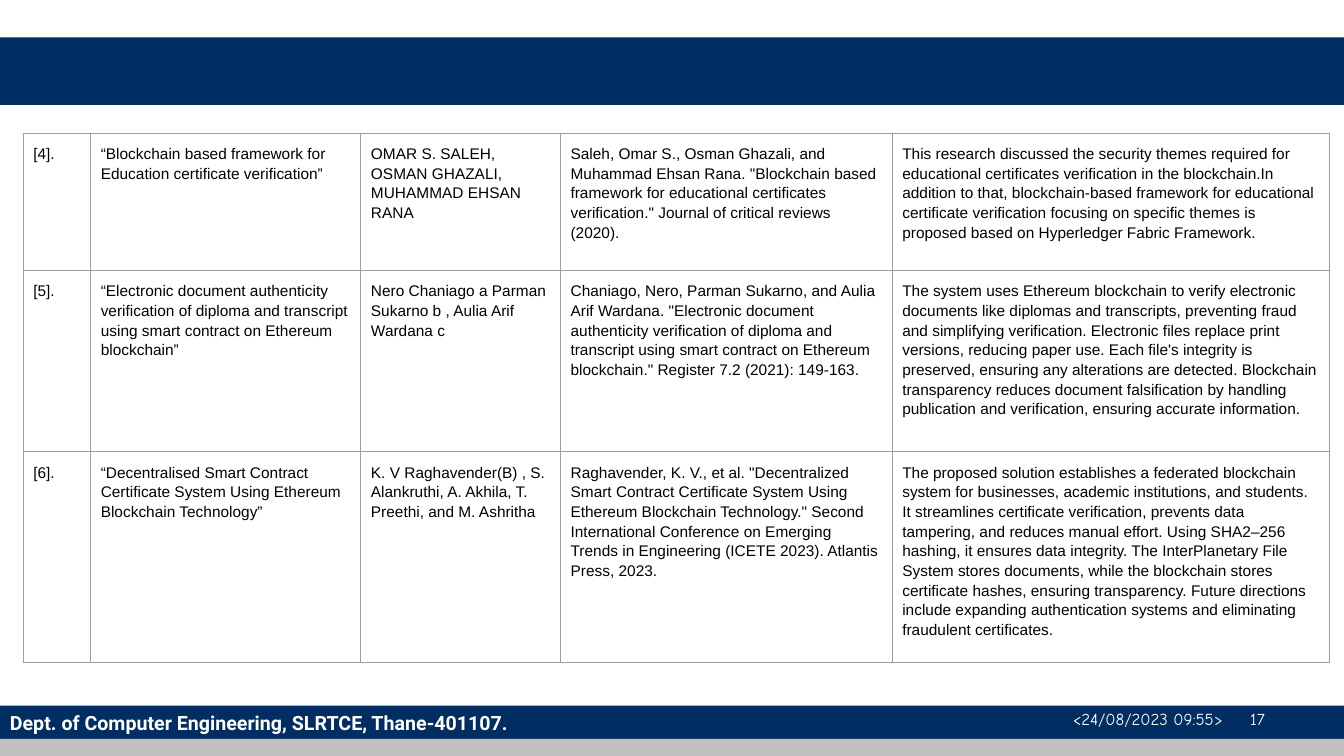
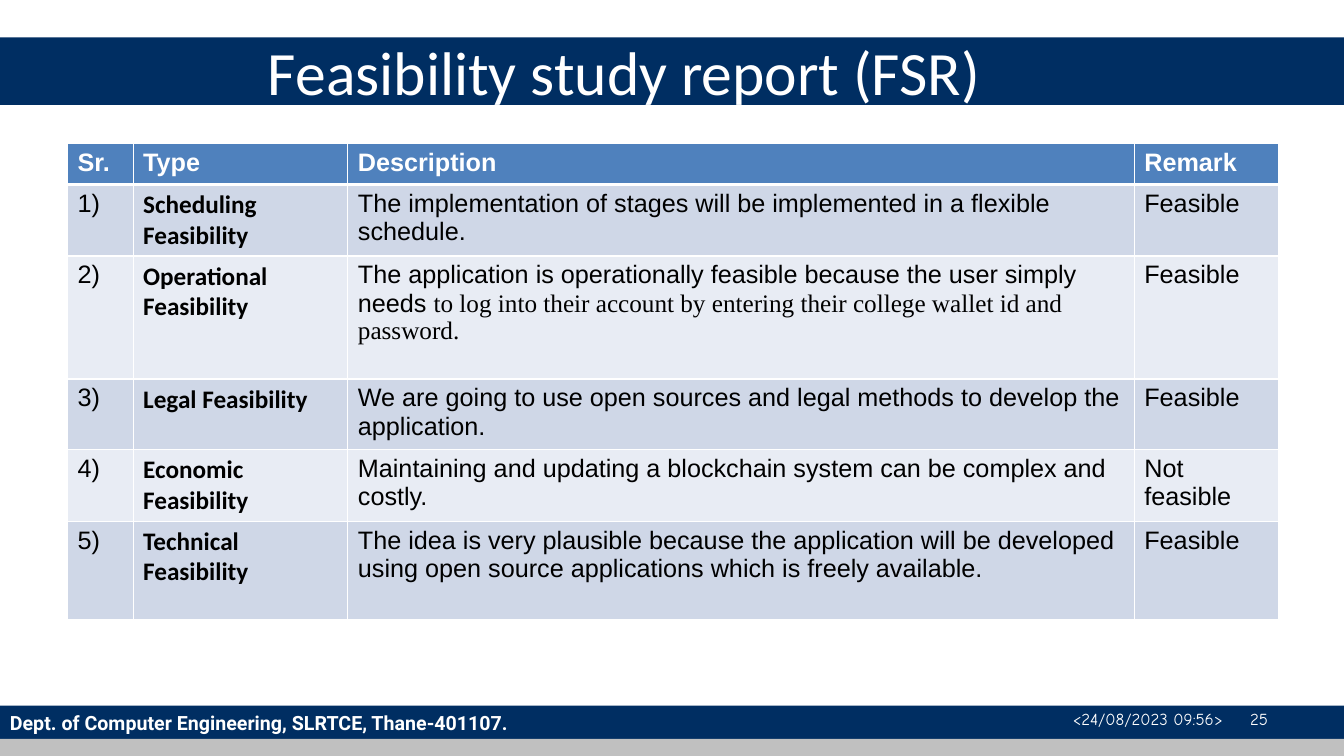
import dataclasses
import itertools

import lxml.etree
import pptx
import pptx.dml.color
import pptx.enum.shapes
import pptx.enum.text
import pptx.oxml.ns
import pptx.util

Inches = pptx.util.Inches


@dataclasses.dataclass(frozen=True)
class Theme:
    navy: str = "002E62"
    silver: str = "C0C0C0"
    white: str = "FFFFFF"
    black: str = "000000"
    grid: str = "9E9E9E"
    header: str = "4F81BD"
    bands: tuple = ("CFD7E7", "E8ECF4")
    body: str = "Arial"
    title: str = "Calibri"
    brand: str = "Roboto"
    stamp: str = "Comic Neue"
    serif: str = "Times New Roman"
    title_size: int = 44
    table_size: int = 18
    foot_size: int = 14
    stamp_size: int = 12
    paper_size: int = 11


THEME = Theme()
WIDE, HIGH = 13.33, 7.5
DEPT = "Dept. of Computer Engineering, SLRTCE, Thane-401107."

PAPERS = [
    ("[4].",
     "“Blockchain based framework for Education certificate verification”",
     "OMAR S. SALEH, OSMAN GHAZALI, MUHAMMAD EHSAN RANA",
     "Saleh, Omar S., Osman Ghazali, and Muhammad Ehsan Rana. \"Blockchain based framework "
     "for educational certificates verification.\" Journal of critical reviews (2020).",
     "This research discussed the security themes required for educational certificates "
     "verification in the blockchain.In addition to that, blockchain-based framework for "
     "educational certificate verification focusing on specific themes is proposed based on "
     "Hyperledger Fabric Framework."),
    ("[5].",
     "“Electronic document authenticity verification of diploma and transcript using smart "
     "contract on Ethereum blockchain”",
     "Nero Chaniago a Parman Sukarno b , Aulia Arif Wardana c",
     "Chaniago, Nero, Parman Sukarno, and Aulia Arif Wardana. \"Electronic document "
     "authenticity verification of diploma and transcript using smart contract on Ethereum "
     "blockchain.\" Register 7.2 (2021): 149-163.",
     "The system uses Ethereum blockchain to verify electronic documents like diplomas and "
     "transcripts, preventing fraud and simplifying verification. Electronic files replace "
     "print versions, reducing paper use. Each file's integrity is preserved, ensuring any "
     "alterations are detected. Blockchain transparency reduces document falsification by "
     "handling publication and verification, ensuring accurate information."),
    ("[6].",
     "“Decentralised Smart Contract Certificate System Using Ethereum Blockchain Technology”",
     "K. V Raghavender(B) , S. Alankruthi, A. Akhila, T. Preethi, and M. Ashritha",
     "Raghavender, K. V., et al. \"Decentralized Smart Contract Certificate System Using "
     "Ethereum Blockchain Technology.\" Second International Conference on Emerging Trends "
     "in Engineering (ICETE 2023). Atlantis Press, 2023.",
     "The proposed solution establishes a federated blockchain system for businesses, "
     "academic institutions, and students. It streamlines certificate verification, prevents "
     "data tampering, and reduces manual effort. Using SHA2–256 hashing, it ensures data "
     "integrity. The InterPlanetary File System stores documents, while the blockchain stores "
     "certificate hashes, ensuring transparency. Future directions include expanding "
     "authentication systems and eliminating fraudulent certificates."),
]

HEADS = ("Sr.", "Type", "Description", "Remark")
STUDY = [
    ("Scheduling",
     "The implementation of stages will be implemented in a flexible schedule.", "",
     "Feasible"),
    ("Operational",
     "The application is operationally feasible because the user simply needs ",
     "to log into their account by entering their college wallet id and password.",
     "Feasible"),
    ("Legal",
     "We are going to use open sources and legal methods to develop the application.", "",
     "Feasible"),
    ("Economic",
     "Maintaining and updating a blockchain system can be complex and costly.", "",
     "Not feasible"),
    ("Technical",
     "The idea is very plausible because the application will be developed using open "
     "source applications which is freely available.", "",
     "Feasible"),
]


def tint(code):
    return pptx.dml.color.RGBColor.from_string(code)


def add_run(para, text, font, size, color, bold=False):
    run = para.add_run()
    run.text = text
    run.font.name = font
    run.font.size = pptx.util.Pt(size)
    run.font.color.rgb = tint(color)
    run.font.bold = bold


def add_band(slide, box, color):
    band = slide.shapes.add_shape(
        pptx.enum.shapes.MSO_SHAPE.RECTANGLE, *map(Inches, box))
    band.shadow.inherit = False
    band.fill.solid()
    band.fill.fore_color.rgb = tint(color)
    band.line.fill.background()
    return band


def add_box(slide, box):
    frame = slide.shapes.add_textbox(*map(Inches, box)).text_frame
    frame.word_wrap = True
    frame.vertical_anchor = pptx.enum.text.MSO_ANCHOR.MIDDLE
    return frame


def add_stamp(slide, box, date, page):
    frame = add_box(slide, box)
    frame.margin_left = Inches(1.08)
    frame.margin_right = 0
    para = frame.paragraphs[0]
    tabs = lxml.etree.SubElement(
        para._p.get_or_add_pPr(), pptx.oxml.ns.qn("a:tabLst"))
    lxml.etree.SubElement(
        tabs, pptx.oxml.ns.qn("a:tab"), pos=str(Inches(1.76)), algn="l")
    add_run(para, f"{date}\t{page}", THEME.stamp, THEME.stamp_size, THEME.white)


def add_page(deck, date, page):
    slide = deck.slides.add_slide(deck.slide_layouts[6])
    foot = add_band(slide, (0, 7, WIDE, 0.33), THEME.navy)
    frame = foot.text_frame
    frame.vertical_anchor = pptx.enum.text.MSO_ANCHOR.MIDDLE
    para = frame.paragraphs[0]
    para.alignment = pptx.enum.text.PP_ALIGN.LEFT
    add_run(para, DEPT, THEME.brand, THEME.foot_size, THEME.white, True)
    add_band(slide, (0, 0.37, WIDE, 0.67), THEME.navy)
    add_band(slide, (0, 7.33, WIDE, 0.17), THEME.silver)
    add_stamp(slide, (9.56, 6.93, 3.11, 0.4), date, page)
    return slide


def add_title(slide, box, text):
    para = add_box(slide, box).paragraphs[0]
    add_run(para, text, THEME.title, THEME.title_size, THEME.white)


def add_edge(cell, side, color, width):
    line = lxml.etree.SubElement(
        cell._tc.get_or_add_tcPr(), pptx.oxml.ns.qn(f"a:ln{side}"),
        w=str(pptx.util.Pt(width)))
    fill = lxml.etree.SubElement(line, pptx.oxml.ns.qn("a:solidFill"))
    lxml.etree.SubElement(fill, pptx.oxml.ns.qn("a:srgbClr"), val=color)


def add_grid(slide, left, top, cols, rows):
    table = slide.shapes.add_table(
        len(rows), len(cols), Inches(left), Inches(top),
        Inches(sum(cols)), Inches(sum(rows))).table
    for col, width in zip(table.columns, cols):
        col.width = Inches(width)
    for row, height in zip(table.rows, rows):
        row.height = Inches(height)
    return table


def add_papers(slide, left, top):
    table = add_grid(slide, left, top, (0.67, 2.68, 1.98, 3.29, 4.34), (1.36, 1.8, 1.96))
    table.first_row = table.horz_banding = False
    for cell, text in zip(table.iter_cells(), itertools.chain(*PAPERS)):
        for side in "LRTB":
            add_edge(cell, side, THEME.grid, 0.75)
        cell.fill.background()
        cell.margin_left = cell.margin_right = Inches(0.1)
        cell.margin_top = cell.margin_bottom = Inches(0.1)
        para = cell.text_frame.paragraphs[0]
        para.line_spacing = 1.15
        add_run(para, text, THEME.body, THEME.paper_size, THEME.black)


def fill_cell(cell, row, runs):
    for side in "LRTB":
        thick = (row, side) in ((0, "B"), (1, "T"))
        add_edge(cell, side, THEME.white, 3 if thick else 1)
    cell.fill.solid()
    cell.fill.fore_color.rgb = tint(THEME.bands[(row - 1) % 2] if row else THEME.header)
    para = cell.text_frame.paragraphs[0]
    for text, font, bold in runs:
        add_run(para, text, font, THEME.table_size,
                THEME.black if row else THEME.white, bold)


def add_study(slide, left, top):
    table = add_grid(slide, left, top, (0.65, 2.13, 7.8, 1.43),
                     (0.41, 0.71, 1.22, 0.66, 0.71, 0.98))
    lines = [[[(head, THEME.body, True)] for head in HEADS]]
    for rank, (kind, text, more, mark) in enumerate(STUDY, 1):
        about = [(text, THEME.body, False)]
        if more:
            about.append((more, THEME.serif, False))
        lines.append([[(f"{rank})", THEME.body, False)],
                      [(f"{kind} Feasibility", THEME.title, True)],
                      about,
                      [(mark, THEME.body, False)]])
    for row, line in enumerate(lines):
        for col, runs in enumerate(line):
            fill_cell(table.cell(row, col), row, runs)


def main():
    deck = pptx.Presentation()
    deck.slide_width, deck.slide_height = Inches(WIDE), Inches(HIGH)
    slide = add_page(deck, "<24/08/2023 09:55>", 17)
    add_papers(slide, 0.23, 1.32)
    slide = add_page(deck, "<24/08/2023 09:56>", 25)
    add_title(slide, (2.56, 0.08, 10.56, 1.25), "Feasibility study report (FSR)")
    add_study(slide, 0.67, 1.42)
    deck.save("out.pptx")


if __name__ == "__main__":
    main()
